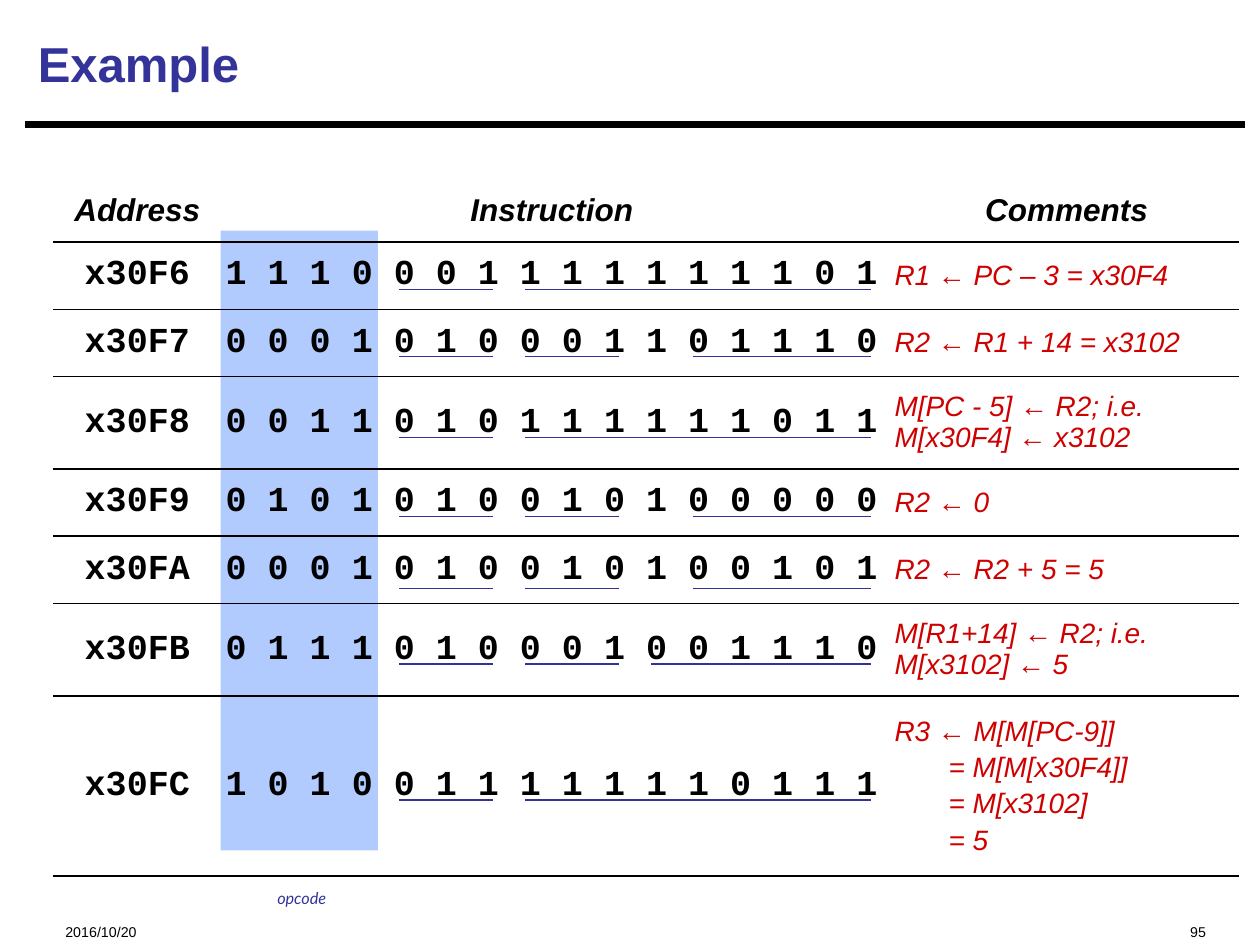
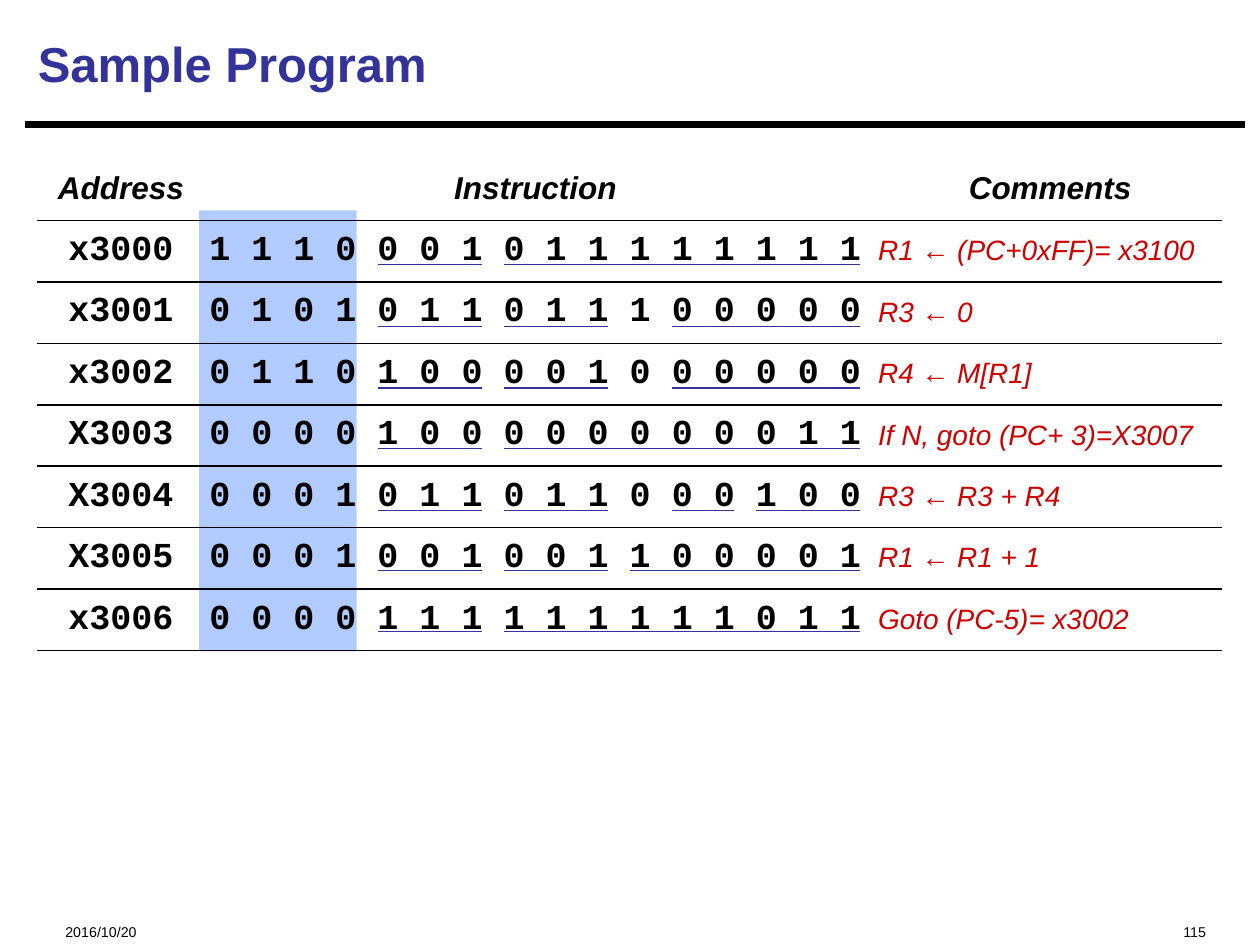
from lxml import etree
from pptx import Presentation
from pptx.dml.color import RGBColor
from pptx.enum.shapes import MSO_CONNECTOR, MSO_SHAPE
from pptx.enum.text import MSO_ANCHOR, PP_ALIGN
from pptx.oxml.ns import qn
from pptx.util import Inches, Pt

STRAIGHT = MSO_CONNECTOR.STRAIGHT
RECTANGLE = MSO_SHAPE.RECTANGLE
MIDDLE = MSO_ANCHOR.MIDDLE
LEFT, CENTER, RIGHT = PP_ALIGN.LEFT, PP_ALIGN.CENTER, PP_ALIGN.RIGHT

COLORS = {"ink": "000000", "accent": "333399", "comment": "CE0000", "band": "6699FF"}
SANS, MONO, LABEL = "Arial", "Courier New", "Lato"
DATE = "2016/10/20"
HEADINGS = ["Address", "Instruction", "Comments"]
COLUMN_WIDTHS = [1.24, 5.34, 2.83]
BIT_PITCH = 1 / 3
FIRST_OPERAND_BIT = 4

DR, SR, SR_IMM = (4, 3), (7, 3), (11, 5)
OFFSET9, OFFSET6 = (7, 9), (10, 6)

EXAMPLE_ROWS = [
    ("x30F6", "1110001111111101", 2.3, [DR, OFFSET9], ["R1 ← PC – 3 = x30F4"]),
    ("x30F7", "0001010001101110", 2.83, [DR, SR, SR_IMM], ["R2 ← R1 + 14 = x3102"]),
    ("x30F8", "0011010111111011", 3.47, [DR, OFFSET9],
     ["M[PC - 5] ← R2; i.e.\nM[x30F4] ← x3102"]),
    ("x30F9", "0101010010100000", 4.1, [DR, SR, SR_IMM], ["R2 ← 0"]),
    ("x30FA", "0001010010100101", 4.67, [DR, SR, SR_IMM], ["R2 ← R2 + 5 = 5"]),
    ("x30FB", "0111010001001110", 5.27, [DR, SR, OFFSET6],
     ["M[R1+14] ← R2; i.e.\nM[x3102] ← 5"]),
    ("x30FC", "1010011111110111", 6.35, [DR, OFFSET9],
     ["R3 ← M[M[PC-9]]", "= M[M[x30F4]]", "= M[x3102]", "= 5"]),
]
SAMPLE_ROWS = [
    ("x3000", "1110001011111111", 2.1, [DR, OFFSET9], ["R1 ← (PC+0xFF)= x3100"]),
    ("x3001", "0101011011100000", 2.59, [DR, SR, SR_IMM], ["R3 ← 0"]),
    ("x3002", "0110100001000000", 3.08, [DR, SR, SR_IMM], ["R4 ← M[R1]"]),
    ("X3003", "0000100000000011", 3.56, [DR, OFFSET9], ["If N, goto (PC+ 3)=X3007"]),
    ("X3004", "0001011011000100", 4.05, [DR, SR, (11, 2), (13, 3)], ["R3 ← R3 + R4"]),
    ("X3005", "0001001001100001", 4.53, [DR, SR, OFFSET6], ["R1 ← R1 + 1"]),
    ("x3006", "0000111111111011", 5.01, [DR, OFFSET9], ["Goto (PC-5)= x3002"]),
]


def rgb(color):
    return RGBColor.from_string(COLORS[color])


def add_run(paragraph, text, size, color="ink", font=SANS, bold=False, italic=False,
            subscript=False):
    run = paragraph.add_run()
    run.text = text
    run.font.size = Pt(size)
    run.font.name = font
    run.font.bold = bold
    run.font.italic = italic
    run.font.color.rgb = rgb(color)
    if subscript:
        run._r.get_or_add_rPr().set("baseline", "-25000")


def add_line(slide, left, right, y, color, width):
    line = slide.shapes.add_connector(
        STRAIGHT, Inches(left), Inches(y), Inches(right), Inches(y))
    line.line.color.rgb = rgb(color)
    line.line.width = Pt(width)
    etree.SubElement(line._element.spPr, qn("a:effectLst"))


def add_label(slide, box, text, size, align, wrap=True, **style):
    label = slide.shapes.add_textbox(*map(Inches, box))
    label.text_frame.word_wrap = wrap
    paragraph = label.text_frame.paragraphs[0]
    paragraph.alignment = align
    add_run(paragraph, text, size, subscript=True, **style)


def add_frame(deck, title_text, number):
    slide = deck.slides.add_slide(deck.slide_layouts[5])
    title = slide.shapes.title
    title.left, title.top, title.width, title.height = map(Inches, (0.2, 0.08, 9.67, 0.84))
    title.text_frame.vertical_anchor = MIDDLE
    heading = title.text_frame.paragraphs[0]
    heading.alignment = LEFT
    add_run(heading, title_text, 28, "accent", bold=True)
    add_line(slide, 0.2, 9.88, 0.99, "ink", 3.75)
    add_label(slide, (0.42, 7.15, 2.5, 0.27), DATE, 14, LEFT)
    add_label(slide, (6.67, 7.15, 3, 0.27), number, 14, RIGHT)
    return slide


def add_opcode_band(slide, left, top, height):
    band = slide.shapes.add_shape(RECTANGLE, *map(Inches, (left, top, 1.25, height)))
    band.shadow.inherit = False
    band.line.fill.background()
    band.fill.solid()
    band.fill.fore_color.rgb = rgb("band")
    color = band._element.spPr.find(f"{qn('a:solidFill')}/{qn('a:srgbClr')}")
    etree.SubElement(color, qn("a:alpha"), val="50000")


def set_borders(cell, has_top):
    properties = cell._tc.get_or_add_tcPr()
    for side, shown in (("L", False), ("R", False), ("T", has_top), ("B", True)):
        border = etree.SubElement(properties, qn(f"a:ln{side}"), w=str(Pt(1)))
        if shown:
            fill = etree.SubElement(border, qn("a:solidFill"))
            etree.SubElement(fill, qn("a:srgbClr"), val=COLORS["ink"])
        else:
            etree.SubElement(border, qn("a:noFill"))


def fill_cell(cell, paragraphs, align, padding, has_top, **style):
    set_borders(cell, has_top)
    cell.fill.background()
    cell.vertical_anchor = MIDDLE
    cell.margin_left, cell.margin_right = Inches(0.1), 0
    cell.margin_top = cell.margin_bottom = Inches(padding)
    for index, text in enumerate(paragraphs):
        frame = cell.text_frame
        paragraph = frame.add_paragraph() if index else frame.paragraphs[0]
        paragraph.alignment = align
        if index:
            paragraph.space_before = Pt(3)
        if text.startswith("="):
            paragraph._p.get_or_add_pPr().set("marL", str(Inches(0.43)))
        for part, line in enumerate(text.split("\n")):
            if part:
                paragraph.add_line_break()
            add_run(paragraph, line, **style)


def add_program(slide, left, top, row_heights, rows, padding):
    frame = slide.shapes.add_table(
        len(rows) + 1, len(HEADINGS), Inches(left), Inches(top),
        Inches(sum(COLUMN_WIDTHS)), Inches(sum(row_heights)))
    table = frame.table
    table.first_row = table.horz_banding = False
    for column, width in zip(table.columns, COLUMN_WIDTHS):
        column.width = Inches(width)
    for row, height in zip(table.rows, row_heights):
        row.height = Inches(height)
    for column, heading in enumerate(HEADINGS):
        fill_cell(table.cell(0, column), [heading], CENTER, 0.1, False,
                  size=18, bold=True, italic=True)
    for index, (address, bits, _, _, comments) in enumerate(rows, 1):
        for column, code in enumerate((address, " ".join(bits))):
            fill_cell(table.cell(index, column), [code], CENTER, padding, True,
                      size=20, font=MONO, bold=True)
        fill_cell(table.cell(index, 2), comments, LEFT, padding, True,
                  size=16, color="comment", italic=True)


def underline_fields(slide, rows, operand_left, last_bit_width):
    for _, _, y, fields, _ in rows:
        for first_bit, count in fields:
            left = operand_left + (first_bit - FIRST_OPERAND_BIT) * BIT_PITCH
            right = left + (count - 1) * BIT_PITCH + last_bit_width
            add_line(slide, left, right, y, "accent", 0.75)


def main():
    deck = Presentation()
    deck.slide_width, deck.slide_height = Inches(10), Inches(7.5)

    example = add_frame(deck, "Example", "95")
    add_opcode_band(example, 1.75, 1.83, 4.92)
    add_program(example, 0.42, 1.42, [0.5, 0.53, 0.53, 0.73, 0.53, 0.53, 0.73, 1.43],
                EXAMPLE_ROWS, 0.1)
    add_label(example, (1.93, 6.85, 0.93, 0.37), "opcode", 16, CENTER, wrap=False,
              color="accent", font=LABEL, italic=True)
    underline_fields(example, EXAMPLE_ROWS, 3.17, 0.08)

    sample = add_frame(deck, "Sample Program", "115")
    add_opcode_band(sample, 1.58, 1.67, 3.5)
    add_program(sample, 0.29, 1.25, [3.9 / 8] * 8, SAMPLE_ROWS, 0)
    underline_fields(sample, SAMPLE_ROWS, 3, 0.16)

    deck.save("out.pptx")


if __name__ == "__main__":
    main()
